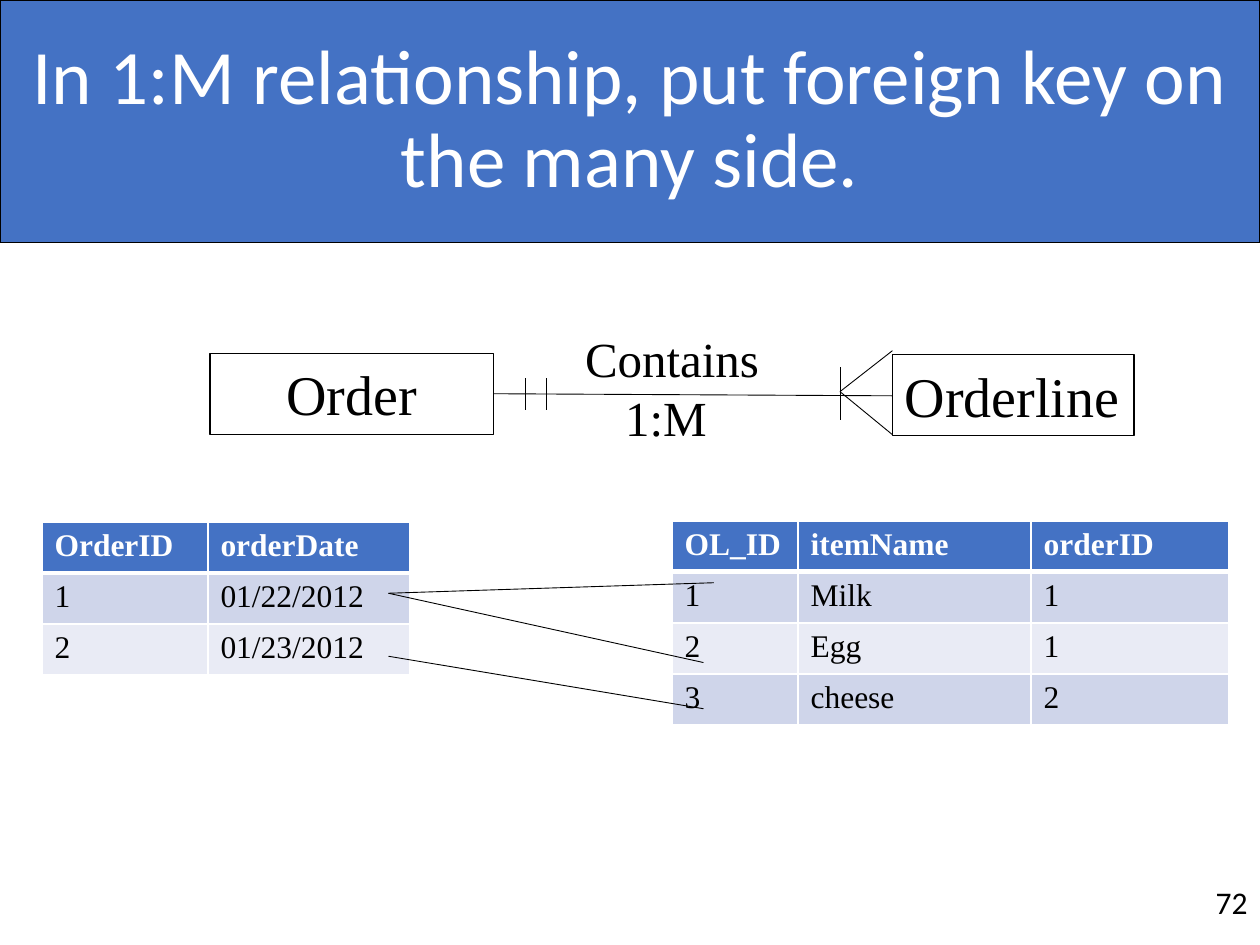
"""Build a slide on placing the foreign key on the many side of a 1:M relationship."""
from lxml import etree
from pptx import Presentation
from pptx.dml.color import RGBColor
from pptx.enum.shapes import MSO_CONNECTOR, MSO_SHAPE
from pptx.enum.text import MSO_ANCHOR, MSO_AUTO_SIZE, PP_ALIGN
from pptx.oxml.ns import qn
from pptx.util import Inches, Pt

STRAIGHT = MSO_CONNECTOR.STRAIGHT
RECTANGLE = MSO_SHAPE.RECTANGLE
TOP, MIDDLE = MSO_ANCHOR.TOP, MSO_ANCHOR.MIDDLE
LEFT, CENTER, RIGHT = PP_ALIGN.LEFT, PP_ALIGN.CENTER, PP_ALIGN.RIGHT
GROW, FIXED = MSO_AUTO_SIZE.SHAPE_TO_FIT_TEXT, MSO_AUTO_SIZE.NONE

THEME = {
    "sans": "Calibri",
    "serif": "Times New Roman",
    "blue": RGBColor(0x44, 0x72, 0xC4),
    "bands": [RGBColor(0xE9, 0xEB, 0xF5), RGBColor(0xCF, 0xD5, 0xEA)],
    "black": RGBColor(0, 0, 0),
    "white": RGBColor(0xFF, 0xFF, 0xFF),
    "title": Pt(44),
    "entity": Pt(32),
    "label": Pt(28),
    "body": Pt(18),
    "outline": Pt(0.75),
    "hairline": Pt(0.5),
}

presentation = Presentation()
presentation.slide_width, presentation.slide_height = Inches(10), Inches(7.5)
slide = presentation.slides.add_slide(presentation.slide_layouts[6])
column = presentation.slide_width / 120
row = presentation.slide_height / 90


def place(*cells):
    return [round(cell * unit) for cell, unit in zip(cells, [column, row] * 2)]


def write(frame, text, alignment, **font_values):
    paragraph = frame.paragraphs[0]
    paragraph.text = text
    paragraph.alignment = alignment
    color = font_values.pop("color")
    for name, value in font_values.items():
        setattr(paragraph.font, name, value)
    paragraph.font.color.rgb = color
    return paragraph


title = slide.shapes.add_shape(RECTANGLE, *place(0, 0, 120, 23.1))
title_paragraph = write(title.text_frame, "In 1:M relationship, put foreign key on the many side.",
                        CENTER, name=THEME["sans"], size=THEME["title"], color=THEME["white"])
title_paragraph.line_spacing = 0.9
title.text_frame.vertical_anchor = MIDDLE
title.fill.solid()
title.fill.fore_color.rgb = THEME["blue"]

tables = [
    ((4, 49.7), [15.8, 19.2], [
        ["OrderID", "orderDate"],
        ["1", "01/22/2012"],
        ["2", "01/23/2012"],
    ]),
    ((64, 49.6), [12, 22.2, 18.8], [
        ["OL_ID", "itemName", "orderID"],
        ["1", "Milk", "1"],
        ["2", "Egg", "1"],
        ["3", "cheese", "2"],
    ]),
]
row_height = 4.86
for corner, widths, records in tables:
    size = (sum(widths), row_height * len(records))
    table = slide.shapes.add_table(len(records), len(widths), *place(*corner, *size)).table
    for table_column, width in zip(table.columns, widths):
        table_column.width = round(width * column)
    for row_index, record in enumerate(records):
        header = row_index == 0
        for column_index, text in enumerate(record):
            cell = table.cell(row_index, column_index)
            write(cell.text_frame, text, LEFT, name=THEME["serif"], size=THEME["body"],
                  bold=header, color=THEME["white"] if header else THEME["black"])
            properties = cell._tc.get_or_add_tcPr()
            for side in ("L", "R", "T", "B"):
                thick = (side == "B" and header) or (side == "T" and row_index == 1)
                border = etree.SubElement(properties, qn(f"a:ln{side}"), w=str(Pt(3 if thick else 1)))
                paint = etree.SubElement(border, qn("a:solidFill"))
                etree.SubElement(paint, qn("a:srgbClr"), val=str(THEME["white"]))
            cell.fill.solid()
            cell.fill.fore_color.rgb = THEME["blue"] if header else THEME["bands"][row_index % 2]

entities = [
    ("Order", (20, 33.7, 27, 7.7), CENTER),
    ("Orderline", (85, 33.8, 23, 7.7), LEFT),
]
outlined = [title]
for text, box, alignment in entities:
    entity = slide.shapes.add_shape(RECTANGLE, *place(*box))
    entity.fill.background()
    entity.text_frame.vertical_anchor = TOP
    entity.text_frame.auto_size = GROW
    write(entity.text_frame, text, alignment,
          name=THEME["serif"], size=THEME["entity"], color=THEME["black"])
    outlined.append(entity)
for shape in outlined:
    shape.shadow.inherit = False
    shape.line.color.rgb = THEME["black"]
    shape.line.width = THEME["outline"]

labels = [
    ("Contains\v1:M ", (48, 30.7, 32, 12.5), CENTER, "serif", "label", TOP, GROW),
    ("72", (114, 82.8, 6, 6.2), RIGHT, "sans", "body", MIDDLE, FIXED),
]
for text, box, alignment, font, size, anchor, fit in labels:
    frame = slide.shapes.add_textbox(*place(*box)).text_frame
    for name, value in {"word_wrap": True, "vertical_anchor": anchor, "auto_size": fit}.items():
        setattr(frame, name, value)
    write(frame, text, alignment, name=THEME[font], size=THEME[size], color=THEME["black"])

key_links = [
    (37, 56.5, 68, 55.5),
    (37, 56.5, 67, 63.1),
    (37, 62.5, 67, 67.5),
]
relationship = [(47, 37.5, 85, 37.7)]
crow_foot = [(80, 37.3, 85, toe) for toe in (33.4, 41.4)]
ticks = [(x, middle - half, x, middle + half)
         for x, middle, half in ((50, 37.5, 1.5), (52, 37.5, 1.5), (80, 37.5, 2.5))]
for ends in key_links + relationship + crow_foot + ticks:
    connector = slide.shapes.add_connector(STRAIGHT, *place(*ends))
    connector.line.color.rgb = THEME["black"]
    connector.line.width = THEME["hairline"]
    etree.SubElement(connector._element.spPr, qn("a:effectLst"))

presentation.save("out.pptx")
